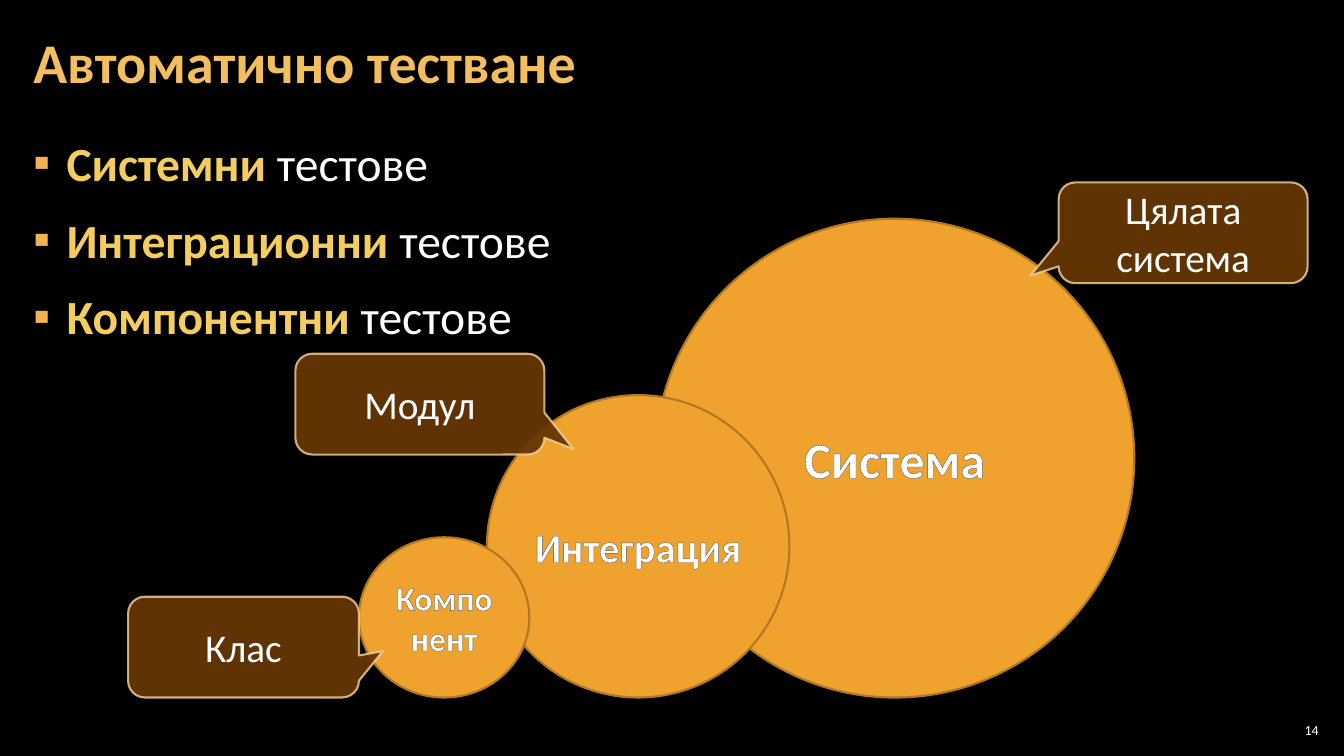
from dataclasses import dataclass

from lxml.etree import SubElement
from pptx import Presentation
from pptx.dml.color import RGBColor
from pptx.enum.shapes import MSO_SHAPE as Shape
from pptx.enum.text import MSO_ANCHOR as Anchor, PP_ALIGN as Align
from pptx.oxml import parse_xml
from pptx.oxml.ns import nsdecls, qn
from pptx.util import Inches, Pt


@dataclass(frozen=True)
class Theme:
    font: str = "Calibri"
    background: str = "000000"
    text: str = "FFFFFF"
    title: str = "F3BE60"
    keyword: str = "F3CD60"
    bullet: str = "F2B254"
    circle: str = "F0A22E"
    circle_line: str = "B27822"
    callout: str = "663606"
    callout_line: str = "F8D49E"
    outline: str = "595959"
    title_size: int = 40
    body_size: int = 34
    callout_size: int = 28
    number_size: int = 10


THEME = Theme()


@dataclass(frozen=True)
class Circle:
    label: str
    left: float
    top: float
    width: float
    height: float
    size: int
    side_inset: float = 0.1


@dataclass(frozen=True)
class Callout:
    label: str
    left: float
    top: float
    width: float
    tip: tuple[float, float]


CIRCLES = [
    Circle("Система", 6.5, 2.17, 4.75, 4.75, 36),
    Circle("Интеграция", 4.83, 3.92, 3, 3, 29, side_inset=0),
    Circle("Компонент", 3.56, 5.33, 1.69, 1.59, 24),
]
CALLOUTS = [
    Callout("Клас", 1.27, 5.92, 2.29, (0.604, 0.04)),
    Callout("Цялата система", 10.5, 1.81, 2.47, (-0.613, 0.424)),
    Callout("Модул", 2.93, 3.51, 2.47, (0.616, 0.445)),
]
TEST_KINDS = ["Системни", "Интеграционни", "Компонентни"]


def add_run(paragraph, text: str, *, size: int, color: str = THEME.text,
            bold: bool = False, outlined: bool = False) -> None:
    run = paragraph.add_run()
    run.text = text
    font = run.font
    font.name, font.size, font.bold = THEME.font, Pt(size), bold
    font.color.rgb = RGBColor.from_string(color)
    if outlined:
        run._r.get_or_add_rPr().insert(0, parse_xml(
            f'<a:ln {nsdecls("a")} w="{Pt(0.75)}"><a:solidFill>'
            f'<a:srgbClr val="{THEME.outline}"/></a:solidFill></a:ln>'))


def set_frame(frame, side: float, edge: float, anchor: Anchor) -> None:
    frame.word_wrap = True
    frame.margin_left = frame.margin_right = Inches(side)
    frame.margin_top = frame.margin_bottom = Inches(edge)
    frame.vertical_anchor = anchor


def set_opacity(fill_format, percent: int) -> None:
    color = fill_format._xPr.find(qn("a:solidFill"))[0]
    SubElement(color, qn("a:alpha"), val=str(percent * 1000))


def add_labelled_shape(slide, kind: Shape, label: str, box: tuple, *,
                       fill: str, line: str, size: int,
                       side_inset: float = 0.1, strong: bool = False):
    shape = slide.shapes.add_shape(kind, *map(Inches, box))
    shape.shadow.inherit = False
    shape.fill.solid()
    shape.fill.fore_color.rgb = RGBColor.from_string(fill)
    shape.line.color.rgb = RGBColor.from_string(line)
    shape.line.width = Pt(1.5)
    set_frame(shape.text_frame, side_inset, 0.05, Anchor.MIDDLE)
    paragraph = shape.text_frame.paragraphs[0]
    paragraph.alignment = Align.CENTER
    add_run(paragraph, label, size=size, bold=strong, outlined=strong)
    return shape


def add_circle(slide, circle: Circle) -> None:
    box = (circle.left, circle.top, circle.width, circle.height)
    add_labelled_shape(slide, Shape.OVAL, circle.label, box,
                       fill=THEME.circle, line=THEME.circle_line,
                       size=circle.size, side_inset=circle.side_inset, strong=True)


def add_callout(slide, callout: Callout) -> None:
    box = (callout.left, callout.top, callout.width, 1)
    shape = add_labelled_shape(slide, Shape.ROUNDED_RECTANGULAR_CALLOUT,
                               callout.label, box, fill=THEME.callout,
                               line=THEME.callout_line, size=THEME.callout_size)
    shape.adjustments[0], shape.adjustments[1] = callout.tip
    set_opacity(shape.fill, 95)
    set_opacity(shape.line.fill, 80)


def add_bullet(paragraph) -> None:
    properties = paragraph._p.get_or_add_pPr()
    properties.set("marL", str(Inches(0.33)))
    properties.set("indent", str(-Inches(0.33)))
    color = SubElement(properties, qn("a:buClr"))
    SubElement(color, qn("a:srgbClr"), val=THEME.bullet)
    SubElement(properties, qn("a:buFont"), typeface=THEME.font)
    SubElement(properties, qn("a:buChar"), char="▪")


def add_test_list(slide) -> None:
    box = slide.shapes.add_textbox(*map(Inches, (0.21, 1.26, 12.91, 6.09)))
    frame = box.text_frame
    set_frame(frame, 0.12, 0.04, Anchor.TOP)
    for index, kind in enumerate(TEST_KINDS):
        paragraph = frame.add_paragraph() if index else frame.paragraphs[0]
        add_bullet(paragraph)
        paragraph.line_spacing = 1.05
        paragraph.space_before = Pt(6 if index else 0)
        paragraph.space_after = Pt(6)
        add_run(paragraph, f"{kind} ", size=THEME.body_size,
                color=THEME.keyword, bold=True)
        add_run(paragraph, "тестове", size=THEME.body_size)


def add_slide_number(slide, number: str) -> None:
    box = slide.shapes.add_textbox(*map(Inches, (12.65, 7.14, 0.47, 0.21)))
    set_frame(box.text_frame, 0.04, 0.04, Anchor.MIDDLE)
    paragraph = box.text_frame.paragraphs[0]
    paragraph.alignment = Align.RIGHT
    add_run(paragraph, number, size=THEME.number_size)


def set_title(slide, text: str) -> None:
    title = slide.shapes.title
    title.left, title.top, title.width, title.height = map(
        Inches, (0.21, 0.04, 10.47, 1.21))
    set_frame(title.text_frame, 0.12, 0.04, Anchor.MIDDLE)
    paragraph = title.text_frame.paragraphs[0]
    paragraph.alignment = Align.LEFT
    paragraph.line_spacing = 0.9
    add_run(paragraph, text, size=THEME.title_size, color=THEME.title, bold=True)


def main() -> None:
    presentation = Presentation()
    presentation.slide_width = Inches(13.33)
    presentation.slide_height = Inches(7.5)
    slide = presentation.slides.add_slide(presentation.slide_layouts[5])
    slide.background.fill.solid()
    slide.background.fill.fore_color.rgb = RGBColor.from_string(THEME.background)
    set_title(slide, "Автоматично тестване")
    add_test_list(slide)
    add_slide_number(slide, "14")
    for circle in CIRCLES:
        add_circle(slide, circle)
    for callout in CALLOUTS:
        add_callout(slide, callout)
    presentation.save("out.pptx")


if __name__ == "__main__":
    main()
